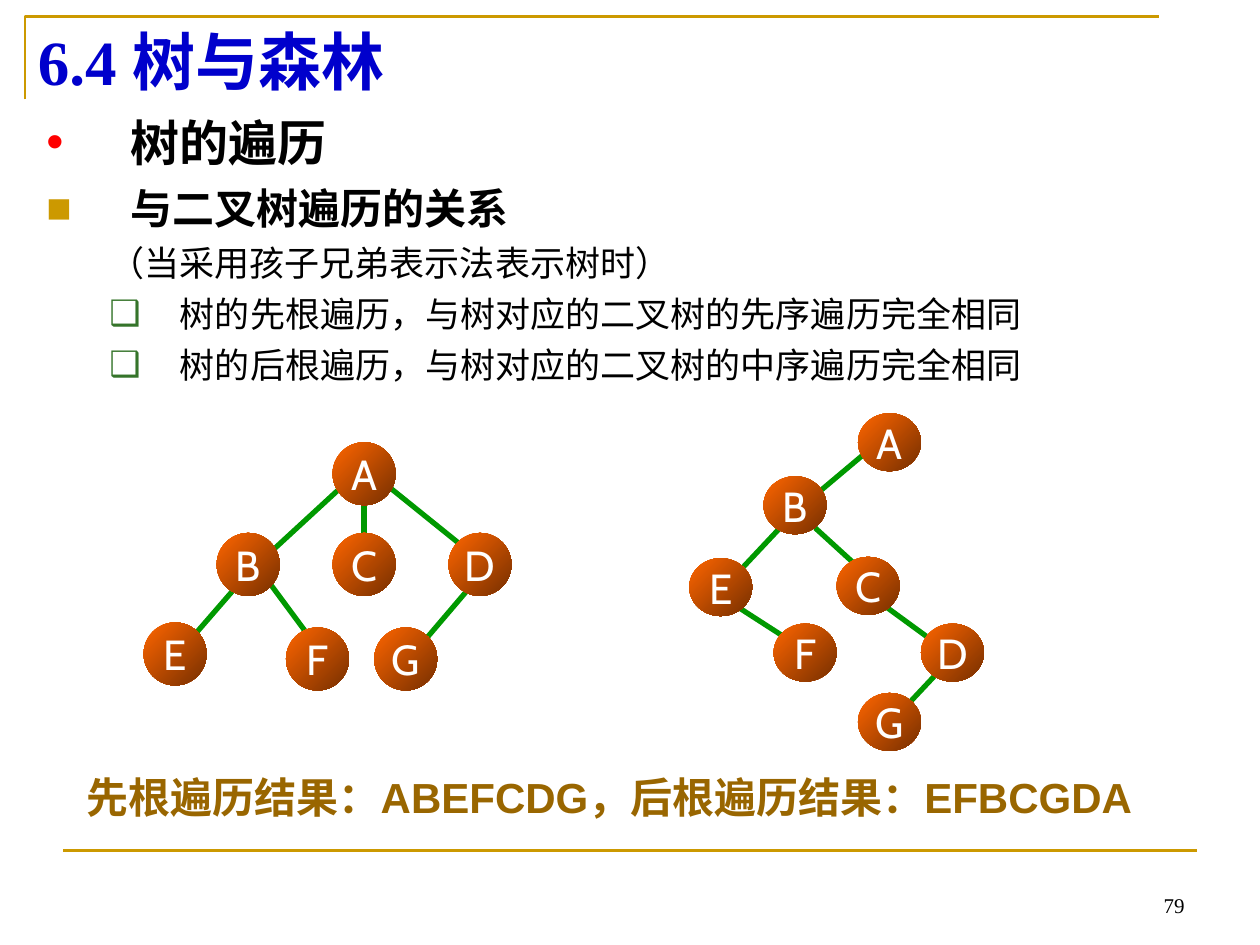
import lxml.etree
import pptx
import pptx.dml.color
import pptx.enum.shapes
import pptx.enum.text
import pptx.oxml.ns
import pptx.util

RGBColor = pptx.dml.color.RGBColor
Pt = pptx.util.Pt
Align = pptx.enum.text.PP_ALIGN
Anchor = pptx.enum.text.MSO_ANCHOR

GOLD = RGBColor(0xCC, 0x99, 0x00)
BROWN = RGBColor(0x99, 0x66, 0x00)
BLUE = RGBColor(0x00, 0x00, 0xCC)
RED = RGBColor(0xFF, 0x00, 0x00)
LEAF = RGBColor(0x35, 0x74, 0x2A)
GREEN = RGBColor(0x00, 0x99, 0x00)
ORANGE = RGBColor(0xFF, 0x66, 0x00)
RUST = RGBColor(0x76, 0x2F, 0x00)
BLACK = RGBColor(0x00, 0x00, 0x00)
WHITE = RGBColor(0xFF, 0xFF, 0xFF)

CJK = "Noto Sans CJK SC"
COLUMNS = 100
NODE_WIDTH = 5


def add_child(parent, tag, **attributes):
    return lxml.etree.SubElement(parent, pptx.oxml.ns.qn(tag), attributes)


class TreeSlide:
    """Places elements on a grid of 100 columns by 75 rows."""

    def __init__(self, deck):
        self.cell = deck.slide_width // COLUMNS
        self.slide = deck.slides.add_slide(deck.slide_layouts[5])
        self.shapes = self.slide.shapes

    def grid(self, *cells):
        return [round(cell * self.cell) for cell in cells]

    def put_text(self, paragraph, text, font, leading=1.2, **layout):
        run = paragraph.add_run()
        run.text = text
        color = font.get("color", BLACK)
        for key, value in font.items():
            if key != "color":
                setattr(run.font, key, value)
        run.font.color.rgb = color
        add_child(run._r.get_or_add_rPr(), "a:ea", typeface=CJK)
        paragraph.line_spacing = Pt(round(run.font.size.pt * leading))
        for key, value in layout.items():
            setattr(paragraph, key, value)

    def frame(self, shape, **layout):
        settings = {"word_wrap": True, "vertical_anchor": Anchor.TOP,
                    "auto_size": pptx.enum.text.MSO_AUTO_SIZE.NONE, **layout}
        for key, value in settings.items():
            setattr(shape.text_frame, key, value)
        return shape.text_frame

    def title(self, box, text, font):
        heading = self.shapes.title
        heading.left, heading.top, heading.width, heading.height = self.grid(*box)
        paragraph = self.frame(heading).paragraphs[0]
        self.put_text(paragraph, text, font, alignment=Align.LEFT, space_before=Pt(0))

    def textbox(self, box, **layout):
        return self.frame(self.shapes.add_textbox(*self.grid(*box)), **layout)

    def bullet(self, paragraph, sign, color, margin, hanging):
        props = paragraph._p.get_or_add_pPr()
        left, indent = self.grid(margin, -hanging)
        props.set("marL", str(left))
        props.set("indent", str(indent))
        if sign:
            add_child(add_child(props, "a:buClr"), "a:srgbClr", val=str(color))
            add_child(props, "a:buFont", typeface="Arial")
            add_child(props, "a:buChar", char=sign)

    def line(self, ends, color, width):
        link = self.shapes.add_connector(
            pptx.enum.shapes.MSO_CONNECTOR.STRAIGHT, *self.grid(*ends))
        link.line.color.rgb = color
        link.line.width = Pt(width)
        add_child(link._element.spPr, "a:effectLst")

    def corner(self, points, color, width):
        start, *others = [self.grid(*point) for point in points]
        outline = self.shapes.build_freeform(*start)
        outline.add_line_segments(others, close=False)
        rule = outline.convert_to_shape()
        rule.shadow.inherit = False
        rule.fill.background()
        rule.line.color.rgb = color
        rule.line.width = Pt(width)

    def node(self, letter, left, top, height):
        circle = self.shapes.add_shape(
            pptx.enum.shapes.MSO_SHAPE.OVAL, *self.grid(left, top, NODE_WIDTH, height))
        circle.shadow.inherit = False
        circle.line.fill.background()
        circle.fill.gradient()
        circle.fill.gradient_angle = 315
        for stop, color in zip(circle.fill.gradient_stops, (ORANGE, RUST)):
            stop.color.rgb = color
        frame = self.frame(circle, word_wrap=False, vertical_anchor=Anchor.MIDDLE,
                           margin_left=0, margin_right=0)
        self.put_text(frame.paragraphs[0], letter,
                      {"name": "Cabin", "size": Pt(24), "color": WHITE},
                      alignment=Align.CENTER)

    def tree(self, nodes, edges, height):
        for ends in edges:
            self.line(ends, GREEN, 3)
        for letter, (left, top) in nodes.items():
            self.node(letter, left, top, height)


def main():
    deck = pptx.Presentation()
    deck.slide_width, deck.slide_height = pptx.util.Inches(10), pptx.util.Inches(7.5)
    page = TreeSlide(deck)

    # Rules and title
    page.corner([(2, 7.9), (2, 1.3), (92, 1.3)], GOLD, 1.5)
    page.line((5, 67.5, 95, 67.5), GOLD, 1.5)
    page.title((2, 1.3, 90, 7.1), "6.4 树与森林",
               {"name": "Times New Roman", "size": Pt(36), "bold": True, "color": BLUE})

    # Outline: text, size, bold, level, space before, bullet, bullet colour
    outline = [
        ("树的遍历", 28, True, 0, 0, "•", RED),
        ("与二叉树遍历的关系", 24, True, 0, 6, "■", GOLD),
        ("（当采用孩子兄弟表示法表示树时）", 20, False, 1, 5, None, None),
        ("树的先根遍历，与树对应的二叉树的先序遍历完全相同", 20, False, 1, 5, "❑", LEAF),
        ("树的后根遍历，与树对应的二叉树的中序遍历完全相同", 20, False, 1, 5, "❑", LEAF),
    ]
    indents = [(6.7, 6.7), (10.6, 5.6)]
    body = page.textbox((2.7, 8.4, 92.1, 23.6))
    for index, (text, size, bold, level, before, sign, color) in enumerate(outline):
        paragraph = body.add_paragraph() if index else body.paragraphs[0]
        page.bullet(paragraph, sign, color, *indents[level])
        page.put_text(paragraph, text, {"name": CJK, "size": Pt(size), "bold": bold},
                      level=level, space_before=Pt(before))

    # General tree
    page.tree(
        {"A": (26.4, 35.1), "B": (17.2, 42.3), "C": (26.4, 42.3), "D": (35.6, 42.3),
         "E": (11.4, 49.4), "F": (22.7, 49.8), "G": (29.7, 49.8)},
        [(30.2, 38.1, 36.4, 43.1), (27.7, 38.1, 21.4, 43.9), (28.9, 39.9, 28.9, 42.4),
         (20.2, 44.9, 15.6, 50.2), (20.6, 45.2, 24.3, 50.2), (38.5, 45.2, 33.9, 50.6)],
        height=5)

    # Corresponding binary tree
    page.tree(
        {"A": (68.1, 32.8), "B": (60.6, 37.8), "C": (66.4, 44.2), "D": (73.1, 49.5),
         "E": (54.7, 44.3), "F": (61.4, 49.5), "G": (68.1, 55)},
        [(71, 34, 64.7, 39.3), (63.5, 40.2, 58.9, 45.1), (64.7, 41.9, 68.1, 45),
         (57.2, 47.3, 63.1, 51.1), (70.1, 48, 76.4, 52.6), (76, 51.7, 71.4, 56.6)],
        height=4.6)

    # Traversal results
    results = page.textbox((5.9, 61.1, 87.4, 4.6))
    page.put_text(results.paragraphs[0], "先根遍历结果：ABEFCDG，后根遍历结果：EFBCGDA",
                  {"name": "Arial", "size": Pt(24), "bold": True, "color": BROWN},
                  leading=1.08)

    # Page number
    number = page.textbox((71.7, 68.3, 23.3, 5), vertical_anchor=Anchor.BOTTOM)
    page.put_text(number.paragraphs[0], "79",
                  {"name": "Times New Roman", "size": Pt(12)}, alignment=Align.RIGHT)

    deck.save("out.pptx")


if __name__ == "__main__":
    main()
